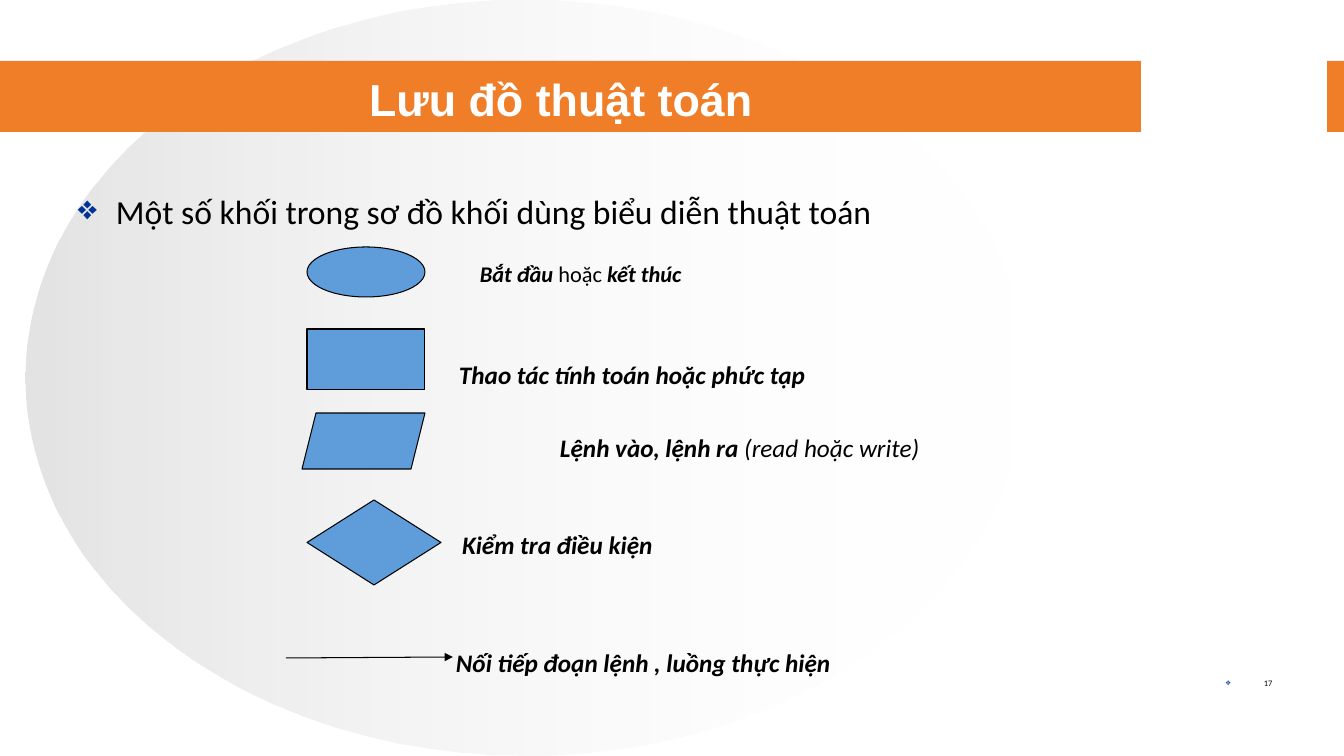
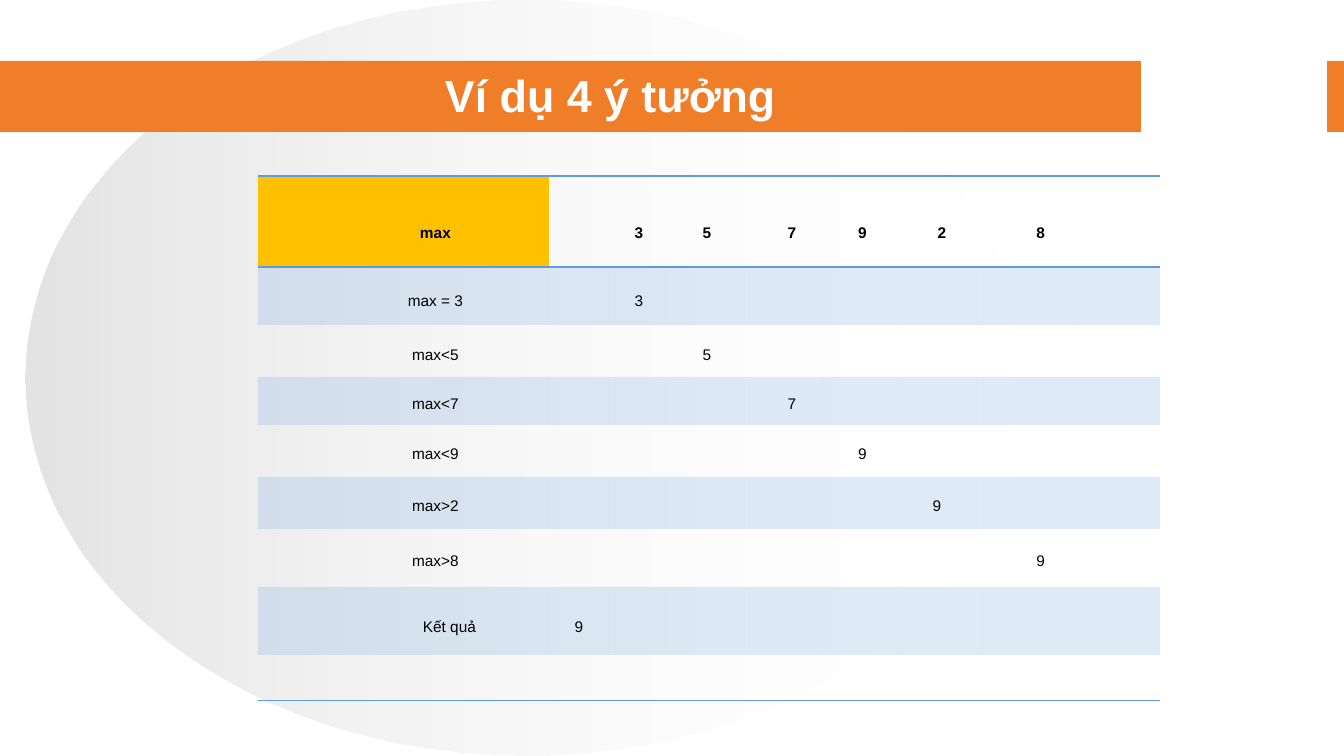
from lxml import etree
from pptx import Presentation
from pptx.dml.color import RGBColor
from pptx.enum.shapes import MSO_CONNECTOR, MSO_SHAPE
from pptx.enum.text import MSO_ANCHOR, PP_ALIGN
from pptx.oxml.ns import qn
from pptx.util import Pt

PX = 914400 / 100.8
WIDTH, HEIGHT = 1344, 756

BLACK, WHITE = "000000", "FFFFFF"
ORANGE, BLUE, GOLD = "F07D27", "5E9CDA", "FFC000"
SILVER, BULLET_BLUE = "C0C0C0", "003399"
PLAIN_TABLE_STYLE = "{2D5ABB26-0587-4C30-8999-92F81FD0307C}"
NO_MARGINS = {f"margin_{side}": 0 for side in ("left", "top", "right", "bottom")}

TITLE_FONT = {"name": "Arial", "size": Pt(32), "bold": True}
CELL_FONT = {"name": "Arial", "size": Pt(11)}
STRONG = {"bold": True, "italic": True}

SYMBOLS = [
    (MSO_SHAPE.OVAL, (307, 247, 118, 50)),
    (MSO_SHAPE.RECTANGLE, (307, 329, 118, 61)),
    (MSO_SHAPE.PARALLELOGRAM, (302, 413, 123, 56)),
    (MSO_SHAPE.DIAMOND, (307, 500, 134, 85)),
]
LABELS = [
    (480, 274, 16, [("Bắt đầu ", STRONG), ("hoặc ", {}), ("kết thúc", STRONG)]),
    (459, 374, 18, [("Thao tác tính toán hoặc phức tạp", STRONG)]),
    (560, 447, 18, [("Lệnh vào, lệnh ra ", STRONG), ("(read hoặc write)", {"italic": True})]),
    (462, 544, 18, [("Kiểm tra điều kiện", STRONG)]),
    (456, 662, 18, [("Nối tiếp đoạn lệnh , luồng thực hiện", STRONG)]),
]

COLUMN_WIDTHS = [291, 60, 56, 80, 78, 75, 86, 94, 82]
COLUMN_SHIFTS = [32, 0, 2, 2, 8, 2, 1, 10, 0]
CELL_SHIFTS = {(5, 6): -4, (7, 0): 46}
ROWS = [
    (91, 24, {0: "max", 2: "3", 3: "5", 4: "7", 5: "9", 6: "2", 7: "8"}),
    (58, 11, {0: "max = 3", 2: "3"}),
    (52, 9, {0: "max<5", 3: "5"}),
    (48, 6, {0: "max<7", 4: "7"}),
    (52, 7, {0: "max<9", 5: "9"}),
    (52, 7, {0: "max>2", 6: "9"}),
    (58, 7, {0: "max>8", 7: "9"}),
    (68, 12, {0: "Kết quả", 1: "9"}),
    (46, 0, {}),
]


def px(n):
    return round(n * PX)


def rgb(value):
    return RGBColor.from_string(value)


def assign(obj, values):
    for name, value in values.items():
        setattr(obj, name, value)


def sub(parent, tag, **attrs):
    return etree.SubElement(parent, qn(tag), attrs)


def set_alpha(parent, *percents):
    for color, percent in zip(parent.iter(qn("a:srgbClr")), percents):
        sub(color, "a:alpha", val=str(percent * 1000))


def add_run(p, text, font, color):
    r = p.add_run()
    r.text = text
    assign(r.font, font)
    r.font.color.rgb = rgb(color)


def add_shape(slide, kind, box, fill=None, line=None):
    sp = slide.shapes.add_shape(kind, *map(px, box))
    sp.shadow.inherit = False
    if fill:
        sp.fill.solid()
        sp.fill.fore_color.rgb = rgb(fill)
    if line:
        sp.line.color.rgb = rgb(line)
        sp.line.width = Pt(0.75)
    else:
        sp.line.fill.background()
    return sp


def add_text(slide, left, middle, width, size, runs, bullet=False):
    height = 44
    sp = slide.shapes.add_textbox(*map(px, (left, middle - height // 2, width, height)))
    tf = sp.text_frame
    assign(tf, {**NO_MARGINS, "word_wrap": True, "vertical_anchor": MSO_ANCHOR.MIDDLE})
    p = tf.paragraphs[0]
    if bullet:
        pPr = p._p.get_or_add_pPr()
        pPr.set("marL", str(px(38)))
        pPr.set("indent", str(-px(38)))
        sub(sub(pPr, "a:buClr"), "a:srgbClr", val=BULLET_BLUE)
        sub(pPr, "a:buChar", char="❖")
    for text, font in runs:
        add_run(p, text, {"name": "Calibri", "size": Pt(size), **font}, BLACK)


def add_arrow(slide, start, end):
    cx = slide.shapes.add_connector(MSO_CONNECTOR.STRAIGHT, *map(px, start + end))
    cx.line.color.rgb = rgb(BLACK)
    cx.line.width = Pt(0.75)
    sub(cx.line._get_or_add_ln(), "a:tailEnd", type="triangle")
    sub(cx._element.spPr, "a:effectLst")


def decorate_layout(layout, slide):
    disc = add_shape(slide, MSO_SHAPE.OVAL, (26, 0, 1000, HEIGHT))
    disc.fill.gradient()
    disc.fill.gradient_angle = 0
    for stop, color in zip(disc.fill.gradient_stops, (SILVER, WHITE)):
        stop.color.rgb = rgb(color)
    set_alpha(disc._element.spPr, 44, 0)
    band = add_shape(slide, MSO_SHAPE.RECTANGLE, (0, 61, WIDTH, 71), ORANGE)
    gap = add_shape(slide, MSO_SHAPE.RECTANGLE, (1142, 61, 185, 71), WHITE, WHITE)
    for index, sp in enumerate((disc, band, gap), 2):
        layout.shapes.element.insert(index, sp._element)


def set_title(slide, text, box):
    sp = slide.shapes.title
    assign(sp, dict(zip(("left", "top", "width", "height"), map(px, box))))
    tf = sp.text_frame
    assign(tf, {**NO_MARGINS, "vertical_anchor": MSO_ANCHOR.MIDDLE})
    p = tf.paragraphs[0]
    p.alignment = PP_ALIGN.CENTER
    add_run(p, text, TITLE_FONT, WHITE)


def set_borders(cell, sides):
    tcPr = cell._tc.get_or_add_tcPr()
    for index, side in enumerate(sides):
        ln = etree.Element(qn(f"a:ln{side}"), w=str(Pt(1)))
        sub(sub(ln, "a:solidFill"), "a:srgbClr", val=BLUE)
        tcPr.insert(index, ln)


def fill_cell(cell, row, col):
    if (row, col) == (0, 0):
        cell.fill.solid()
        cell.fill.fore_color.rgb = rgb(GOLD)
    elif row % 2:
        cell.fill.solid()
        cell.fill.fore_color.rgb = rgb(BLUE)
        set_alpha(cell._tc.tcPr, 20)
    else:
        cell.fill.background()


def write_cell(cell, text, top, shift, bold):
    assign(cell, {
        **NO_MARGINS,
        "margin_top": px(top),
        "margin_left": px(max(2 * shift, 0)),
        "margin_right": px(max(-2 * shift, 0)),
        "vertical_anchor": MSO_ANCHOR.MIDDLE,
    })
    p = cell.text_frame.paragraphs[0]
    p.alignment = PP_ALIGN.CENTER
    add_run(p, text, {**CELL_FONT, "bold": bold}, BLACK)


def add_trace_table(slide, left, top):
    size = sum(COLUMN_WIDTHS), sum(height for height, _, _ in ROWS)
    frame = slide.shapes.add_table(
        len(ROWS), len(COLUMN_WIDTHS), *map(px, (left, top, *size)))
    table = frame.table
    assign(table, {"first_row": False, "horz_banding": False})
    for style in frame._element.iter(qn("a:tableStyleId")):
        style.text = PLAIN_TABLE_STYLE
    for column, width in zip(table.columns, COLUMN_WIDTHS):
        column.width = px(width)
    borders = {0: "TB", len(ROWS) - 1: "B"}
    for row, (height, inset, texts) in enumerate(ROWS):
        table.rows[row].height = px(height)
        for col, column_shift in enumerate(COLUMN_SHIFTS):
            cell = table.cell(row, col)
            if col in texts:
                shift = CELL_SHIFTS.get((row, col), column_shift)
                write_cell(cell, texts[col], inset, shift, row == 0)
            fill_cell(cell, row, col)
            set_borders(cell, borders.get(row, ""))


def build_symbols(slide):
    set_title(slide, "Lưu đồ thuật toán", (69, 68, 984, 62))
    heading = "Một số khối trong sơ đồ khối dùng biểu diễn thuật toán"
    add_text(slide, 78, 211, 1195, 24, [(heading, {})], bullet=True)
    for kind, box in SYMBOLS:
        add_shape(slide, kind, box, BLUE, BLACK)
    add_arrow(slide, (286, 658), (453, 657))
    for left, middle, size, runs in LABELS:
        add_text(slide, left, middle, 600, size, runs)
    add_text(slide, 1226, 683, 60, 6, [("17", {})], bullet=True)


def build_trace(slide):
    set_title(slide, "Ví dụ 4 ý tưởng", (168, 68, 885, 53))
    add_trace_table(slide, 258, 176)


def main():
    prs = Presentation()
    assign(prs, {"slide_width": px(WIDTH), "slide_height": px(HEIGHT)})
    layout = prs.slide_layouts[5]
    symbols, trace = (prs.slides.add_slide(layout) for _ in range(2))
    decorate_layout(layout, symbols)
    build_symbols(symbols)
    build_trace(trace)
    prs.save("out.pptx")


if __name__ == "__main__":
    main()
